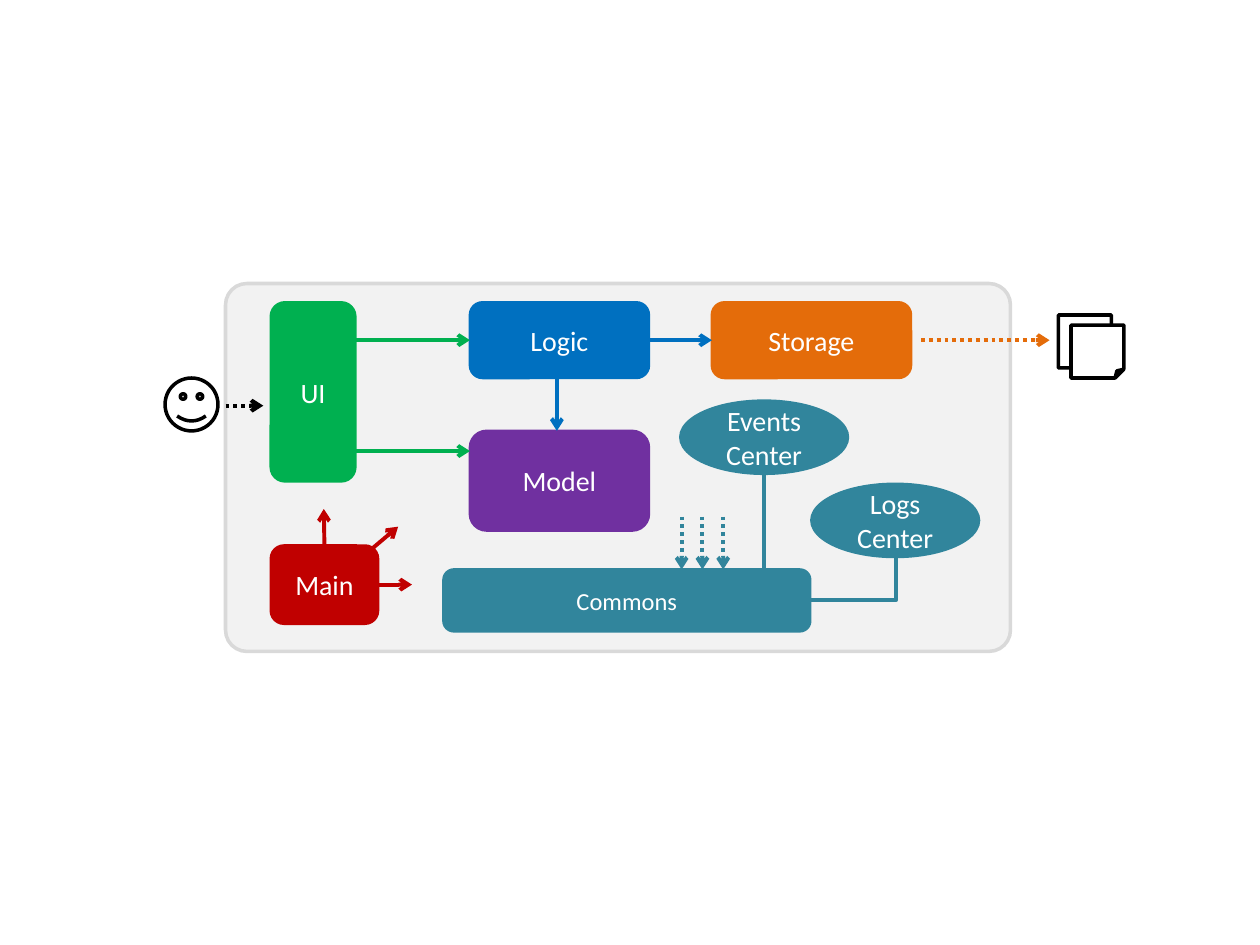
from lxml.etree import SubElement
from pptx import Presentation
from pptx.dml.color import RGBColor
from pptx.enum.dml import MSO_LINE
from pptx.enum.shapes import MSO_CONNECTOR as CONN, MSO_SHAPE as SHAPE
from pptx.enum.text import MSO_ANCHOR, PP_ALIGN
from pptx.oxml.ns import qn
from pptx.util import Inches, Pt

GREEN, BLUE, ORANGE, PURPLE = "00B050", "0070C0", "E46C0A", "7030A0"
TEAL, RED, BLACK, WHITE = "31859C", "C00000", "000000", "FFFFFF"


def rgb(color):
    """Turn a hex string into a colour."""
    return RGBColor.from_string(color)


def add_shape(slide, kind, box, fill, line, width):
    """Add a filled and outlined preset shape."""
    sp = slide.shapes.add_shape(kind, *map(Inches, box))
    sp.shadow.inherit = False
    sp.fill.solid()
    sp.fill.fore_color.rgb = rgb(fill)
    sp.line.color.rgb = rgb(line)
    sp.line.width = Pt(width)
    return sp


def add_component(slide, text, box, color, size=16, kind=SHAPE.ROUNDED_RECTANGLE):
    """Add a labelled component in a single colour."""
    sp = add_shape(slide, kind, box, color, color, 1.5)
    tf = sp.text_frame
    tf.word_wrap = True
    tf.vertical_anchor = MSO_ANCHOR.MIDDLE
    tf.text = text
    p = tf.paragraphs[0]
    p.alignment = PP_ALIGN.CENTER
    p.font.name = "Calibri"
    p.font.size = Pt(size)
    p.font.color.rgb = rgb(WHITE)
    return sp


def add_link(slide, start, end, color, arrow=True, dotted=False, kind=CONN.STRAIGHT):
    """Add a connector between two points."""
    link = slide.shapes.add_connector(kind, *map(Inches, (*start, *end)))
    link.line.color.rgb = rgb(color)
    link.line.width = Pt(2.25)
    if dotted:
        link.line.dash_style = MSO_LINE.ROUND_DOT
    if arrow:
        SubElement(link.line._get_or_add_ln(), qn("a:tailEnd"), type="arrow")
    SubElement(link._element.spPr, qn("a:effectLst"))
    return link


def draw_frame(slide, box):
    """Draw the panel that holds the application."""
    panel = add_shape(slide, SHAPE.ROUNDED_RECTANGLE, box, "F2F2F2", "D9D9D9", 2)
    panel.adjustments[0] = 0.058


def draw_components(slide, x, y):
    """Draw UI, Logic, Storage and Model with their dependencies."""
    add_component(slide, "UI", (x, y, 0.67, 1.42), GREEN)
    logic = add_component(slide, "Logic", (x + 1.58, y, 1.42, 0.6), BLUE)
    storage = add_component(slide, "Storage", (x + 3.5, y, 1.58, 0.6), ORANGE)
    add_component(slide, "Model", (x + 1.58, y + 1.02, 1.42, 0.79), PURPLE)
    for dy in (0.3, 1.18):
        add_link(slide, (x + 0.67, y + dy), (x + 1.58, y + dy), GREEN)
    add_link(slide, (x + 2.27, y + 0.6), (x + 2.27, y + 1.02), BLUE)
    call = add_link(slide, (x + 3, y + 0.3), (x + 3.5, y + 0.3), BLUE)
    call.begin_connect(logic, 3)
    call.end_connect(storage, 1)


def draw_main(slide, x, y):
    """Draw Main with its three outgoing arrows."""
    main_box = add_component(slide, "Main", (x, y, 0.85, 0.62), RED)
    right = add_link(slide, (x + 0.85, y + 0.31), (x + 1.12, y + 0.31), RED)
    right.begin_connect(main_box, 3)
    add_link(slide, (x + 0.69, y + 0.12), (x + 1.01, y - 0.15), RED)
    up = add_link(slide, (x + 0.42, y), (x + 0.42, y - 0.29), RED)
    up.begin_connect(main_box, 0)


def draw_commons(slide, x, y):
    """Draw Commons, its two centers and the incoming arrows."""
    commons = add_component(slide, "Commons", (x, y, 2.91, 0.49), TEAL, 14)
    for i in range(3):
        arrow_x = x + 1.89 + i * 0.165
        add_link(slide, (arrow_x, y - 0.42), (arrow_x, y), TEAL, dotted=True)
    for text, dx, dy in (("Events Center", 1.88, -1.34), ("Logs\vCenter", 2.92, -0.68)):
        add_component(slide, text, (x + dx, y + dy, 1.33, 0.58), TEAL, kind=SHAPE.OVAL)
    add_link(slide, (x + 2.54, y - 0.76), (x + 2.54, y), TEAL, arrow=False)
    elbow = add_link(slide, (x + 2.91, y + 0.24), (x + 3.59, y - 0.1), TEAL,
                     arrow=False, kind=CONN.ELBOW)
    elbow._element.spPr.find(qn("a:prstGeom")).set("prst", "bentConnector2")
    elbow.begin_connect(commons, 3)


def draw_user(slide, x, y):
    """Draw the user and the arrow into the application."""
    add_shape(slide, SHAPE.SMILEY_FACE, (x, y, 0.42, 0.42), WHITE, BLACK, 2)
    add_link(slide, (x + 0.48, y + 0.22), (x + 0.78, y + 0.22), BLACK, dotted=True)


def draw_files(slide, x, y):
    """Draw the stored files and the arrow that leads to them."""
    add_link(slide, (x - 1.09, y + 0.2), (x - 0.07, y + 0.2), ORANGE, dotted=True)
    for dx, dy in ((0, 0), (0.1, 0.08)):
        add_shape(slide, SHAPE.FOLDED_CORNER, (x + dx, y + dy, 0.42, 0.42), WHITE, BLACK, 2)


def main():
    """Build the architecture slide."""
    prs = Presentation()
    prs.slide_width, prs.slide_height = Inches(10), Inches(7.5)
    slide = prs.slides.add_slide(prs.slide_layouts[6])
    draw_frame(slide, (1.79, 2.25, 6.23, 2.92))
    draw_components(slide, 2.15, 2.4)
    draw_user(slide, 1.31, 3)
    draw_files(slide, 8.4, 2.5)
    draw_main(slide, 2.15, 4.33)
    draw_commons(slide, 3.52, 4.52)
    prs.save("out.pptx")


if __name__ == "__main__":
    main()
